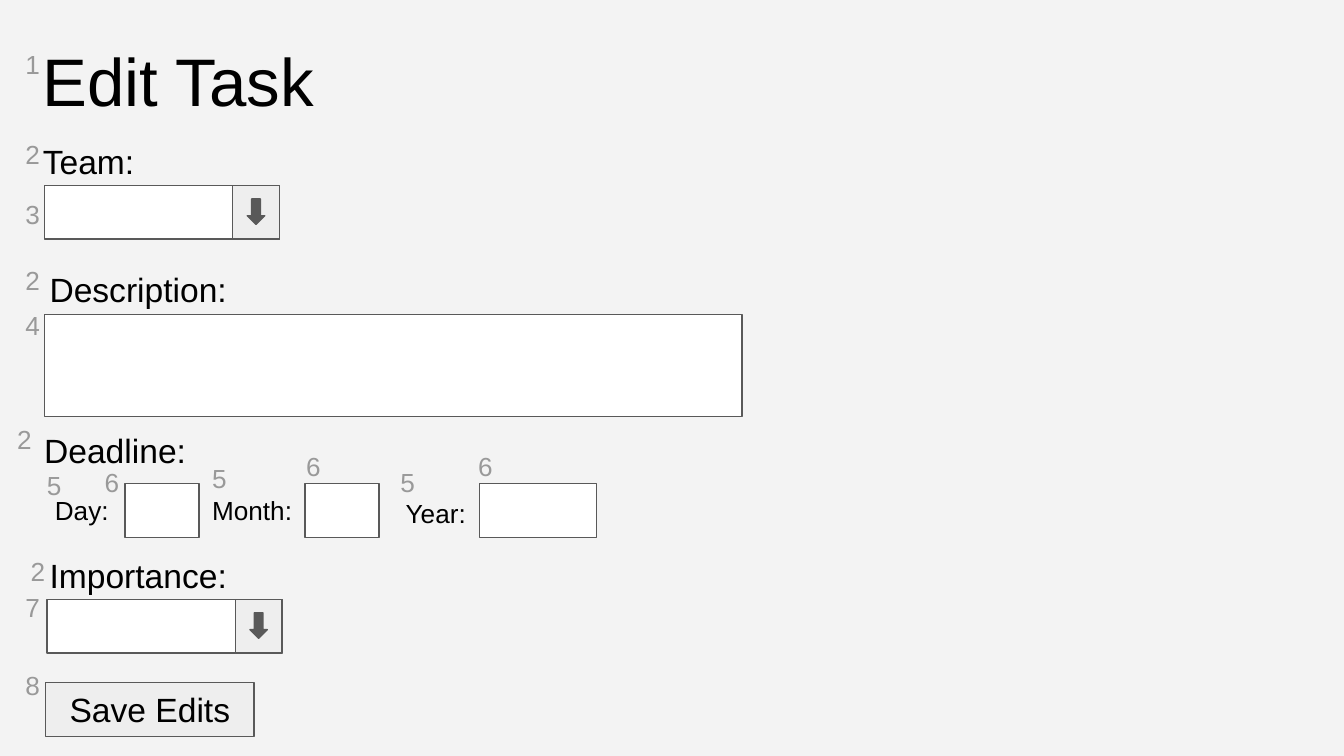
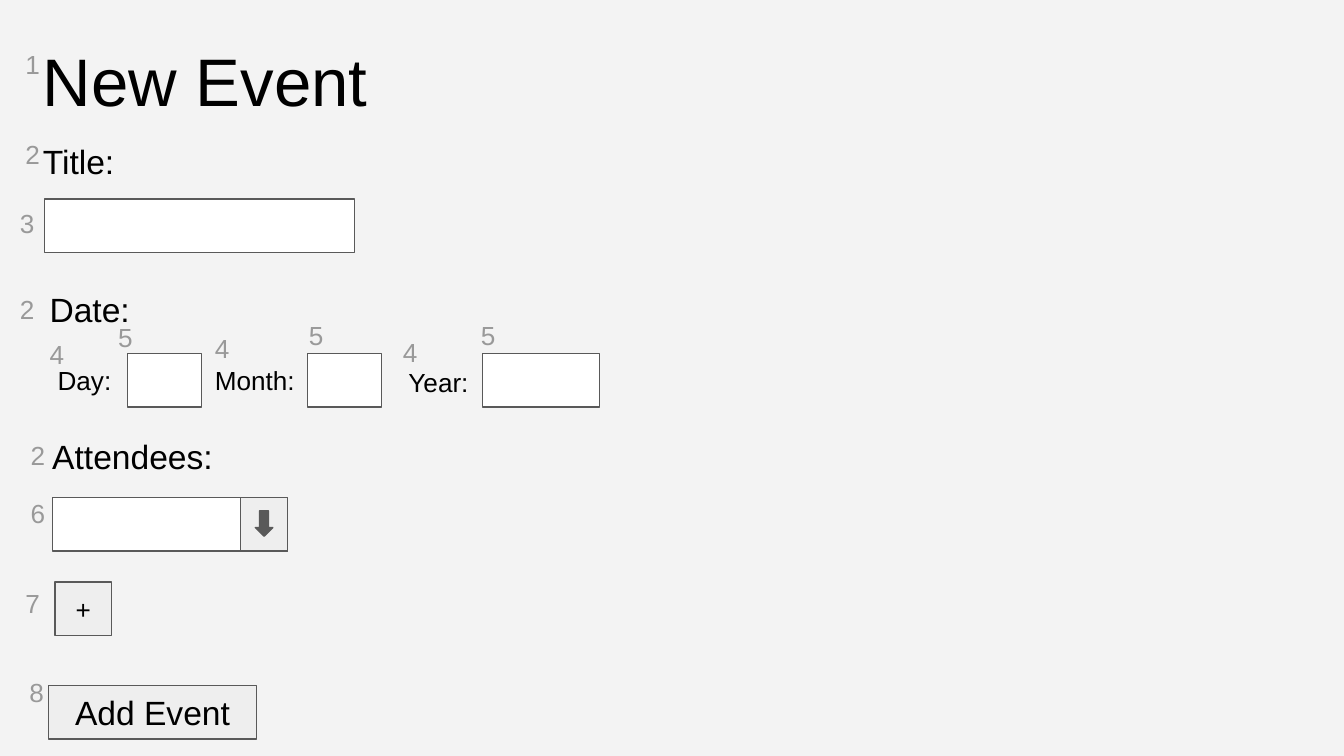
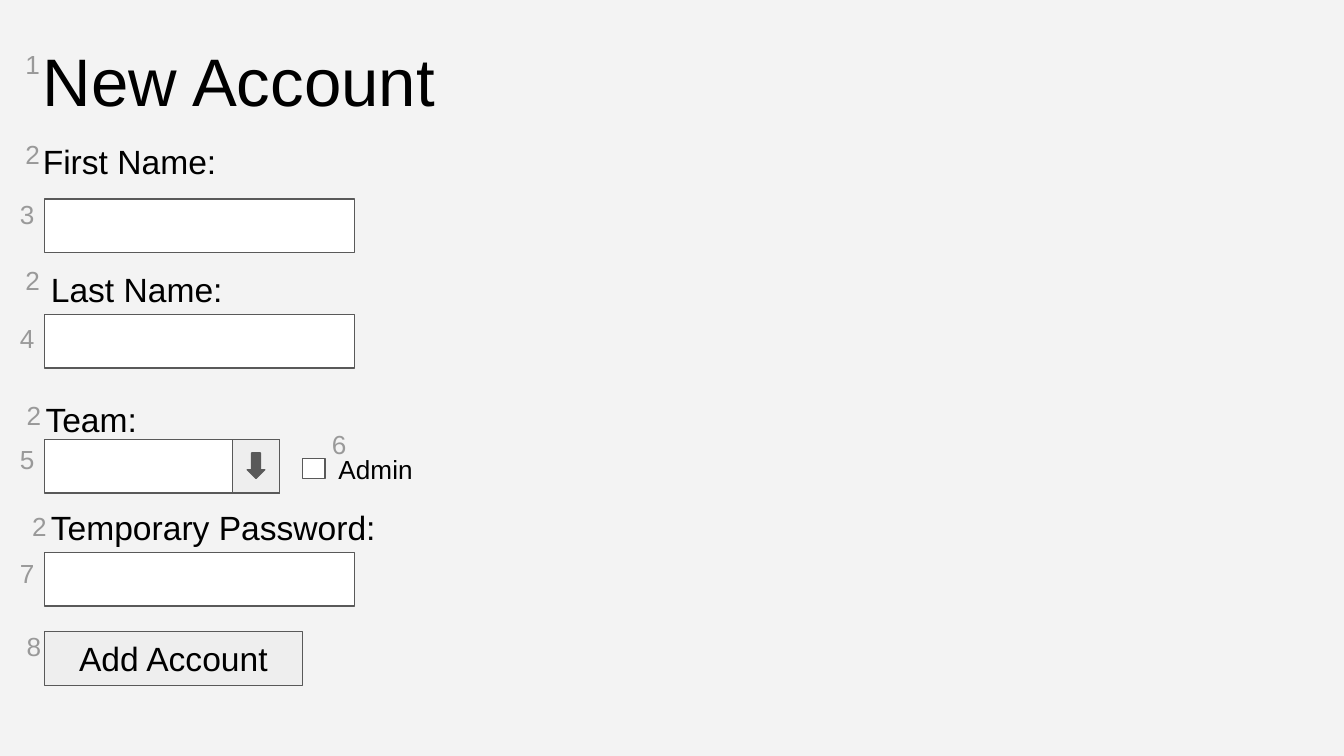
import pptx
import pptx.dml.color
import pptx.enum.shapes
import pptx.enum.text
import pptx.util
from dataclasses import dataclass

Shape = pptx.enum.shapes.MSO_SHAPE
Align = pptx.enum.text.PP_ALIGN
Anchor = pptx.enum.text.MSO_ANCHOR


@dataclass(frozen=True)
class Theme:
    font: str = "Arial"
    back: str = "F3F3F3"
    ink: str = "000000"
    faint: str = "999999"
    edge: str = "595959"
    field: str = "FFFFFF"
    button: str = "EEEEEE"
    title: int = 36
    label: int = 18
    small: int = 14


THEME = Theme()
WIDTH = pptx.util.Inches(10)
HEIGHT = pptx.util.Inches(5.625)
CELL = WIDTH / 100  # the grid has 100 columns of square cells
ROW = 4  # height of a one-line field


def grid(*cells):
    return [round(n * CELL) for n in cells]


def rgb(code):
    return pptx.dml.color.RGBColor.from_string(code)


def write(shape, text, size, color):
    frame = shape.text_frame
    frame.word_wrap = True
    frame.margin_left = frame.margin_right = round(CELL)
    frame.margin_top = frame.margin_bottom = round(CELL)
    para = frame.paragraphs[0]
    para.text = text
    para.font.name = THEME.font
    para.font.size = pptx.util.Pt(size)
    para.font.color.rgb = rgb(color)
    return frame, para


def label(slide, text, x, y, w=26.8, h=7.6, size=THEME.label, color=THEME.ink):
    box = slide.shapes.add_textbox(*grid(x, y, w, h))
    write(box, text, size, color)


def mark(slide, number, x, y):
    """Grey number that refers to a part of the form."""
    label(slide, str(number), x, y, 4.9, 5.3, THEME.small, THEME.faint)


def block(slide, x, y, w, h=ROW, fill=THEME.field, kind=Shape.RECTANGLE):
    shape = slide.shapes.add_shape(kind, *grid(x, y, w, h))
    shape.shadow.inherit = False
    shape.fill.solid()
    shape.fill.fore_color.rgb = rgb(fill)
    shape.line.color.rgb = rgb(THEME.edge)
    shape.line.width = pptx.util.Pt(0.75)
    return shape


def button(slide, text, x, y, w, size=THEME.label):
    shape = block(slide, x, y, w, fill=THEME.button)
    frame, para = write(shape, text, size, THEME.ink)
    frame.vertical_anchor = Anchor.MIDDLE
    para.alignment = Align.CENTER


def picker(slide, x, y):
    """Drop-down field with an arrow key at its right end."""
    block(slide, x, y, 17.5)
    block(slide, x + 14, y, 3.5, fill=THEME.button)
    block(slide, x + 15.1, y + 1, 1.3, 1.9, THEME.edge, Shape.DOWN_ARROW)


def date(slide, x, y, first, day):
    """Day, month and year fields; day is the place of the day field's mark."""
    parts = [  # text, label place and size, field column and width, marks
        ("Day:", (0, -0.2, 7.6, 3.6), 6.2, 5.5, (-0.6, -2.1), day),
        ("Month:", (11.7, -0.2, 11.3, 4), 19.6, 5.5, (11.7, -2.6), (18.7, -3.5)),
        ("Year:", (26.1, 0, 9.2, 4), 32.6, 8.7, (25.7, -2.3), (31.5, -3.5)),
    ]
    for text, (dx, dy, w, h), col, wide, name, entry in parts:
        block(slide, x + col, y, wide)
        label(slide, text, x + dx, y + dy, w, h, THEME.small)
        mark(slide, first, x + name[0], y + name[1])
        mark(slide, first + 1, x + entry[0], y + entry[1])


def marks(slide, places):
    for number, x, y in places:
        mark(slide, number, x, y)


def page(deck, title, first):
    """Add a form with its title and its first label."""
    slide = deck.slides.add_slide(deck.slide_layouts[6])
    label(slide, title, 2.2, 1.9, 47, size=THEME.title)
    label(slide, first, 2.2, 9.5)
    marks(slide, [(1, 0.9, 2.6), (2, 0.9, 9.3)])
    return slide


def task(deck):
    slide = page(deck, "Edit Task", "Team:")
    picker(slide, 3.3, 13.8)
    label(slide, "Description:", 2.7, 19, 29.8)
    block(slide, 3.3, 23.4, 51.9, 7.6)
    label(slide, "Deadline:", 2.3, 31, 29.8)
    date(slide, 3.1, 36, 5, (3.7, -2.3))
    label(slide, "Importance:", 2.7, 40.3)
    picker(slide, 3.5, 44.6)
    button(slide, "Save Edits", 3.4, 50.8, 15.5)
    marks(slide, [(3, 0.9, 13.8), (2, 0.9, 18.7), (4, 0.9, 22),
                  (2, 0.3, 30.5), (2, 1.3, 40.3), (7, 0.9, 43),
                  (8, 0.9, 48.8)])


def event(deck):
    slide = page(deck, "New Event", "Title:")
    block(slide, 3.3, 14.8, 23.1)
    label(slide, "Date:", 2.7, 20.5, 29.8)
    date(slide, 3.3, 26.3, 4, (4.5, -3.4))
    label(slide, "Attendees:", 2.9, 31.4, 17.5, 4)
    picker(slide, 3.9, 37)
    button(slide, "+", 4.1, 43.3, 4.2, THEME.small)
    button(slide, "Add Event", 3.6, 51, 15.5)
    marks(slide, [(3, 0.5, 14.4), (2, 0.5, 20.8), (2, 1.3, 31.7),
                  (6, 1.3, 36), (7, 0.9, 42.7), (8, 1.2, 49.3)])


def account(deck):
    slide = page(deck, "New Account", "First Name:")
    for y in (14.8, 23.4, 41.1):
        block(slide, 3.3, y, 23.1)
    label(slide, "Last Name:", 2.8, 19)
    label(slide, "Team:", 2.4, 28.7)
    picker(slide, 3.3, 32.7)
    block(slide, 22.5, 34.1, 1.7, 1.5)
    label(slide, "Admin", 24.2, 32.7, size=THEME.small)
    label(slide, "Temporary Password:", 2.8, 36.7, h=4)
    button(slide, "Add Account", 3.3, 47, 19.2)
    marks(slide, [(3, 0.5, 13.8), (2, 0.9, 18.7), (4, 0.5, 23),
                  (2, 1, 28.7), (5, 0.5, 32), (6, 23.7, 30.9),
                  (2, 1.4, 37), (7, 0.5, 40.5), (8, 1, 45.9)])


def main():
    deck = pptx.Presentation()
    deck.slide_width, deck.slide_height = WIDTH, HEIGHT
    fill = deck.slide_master.background.fill
    fill.solid()
    fill.fore_color.rgb = rgb(THEME.back)
    for build in (task, event, account):
        build(deck)
    deck.save("out.pptx")


if __name__ == "__main__":
    main()
